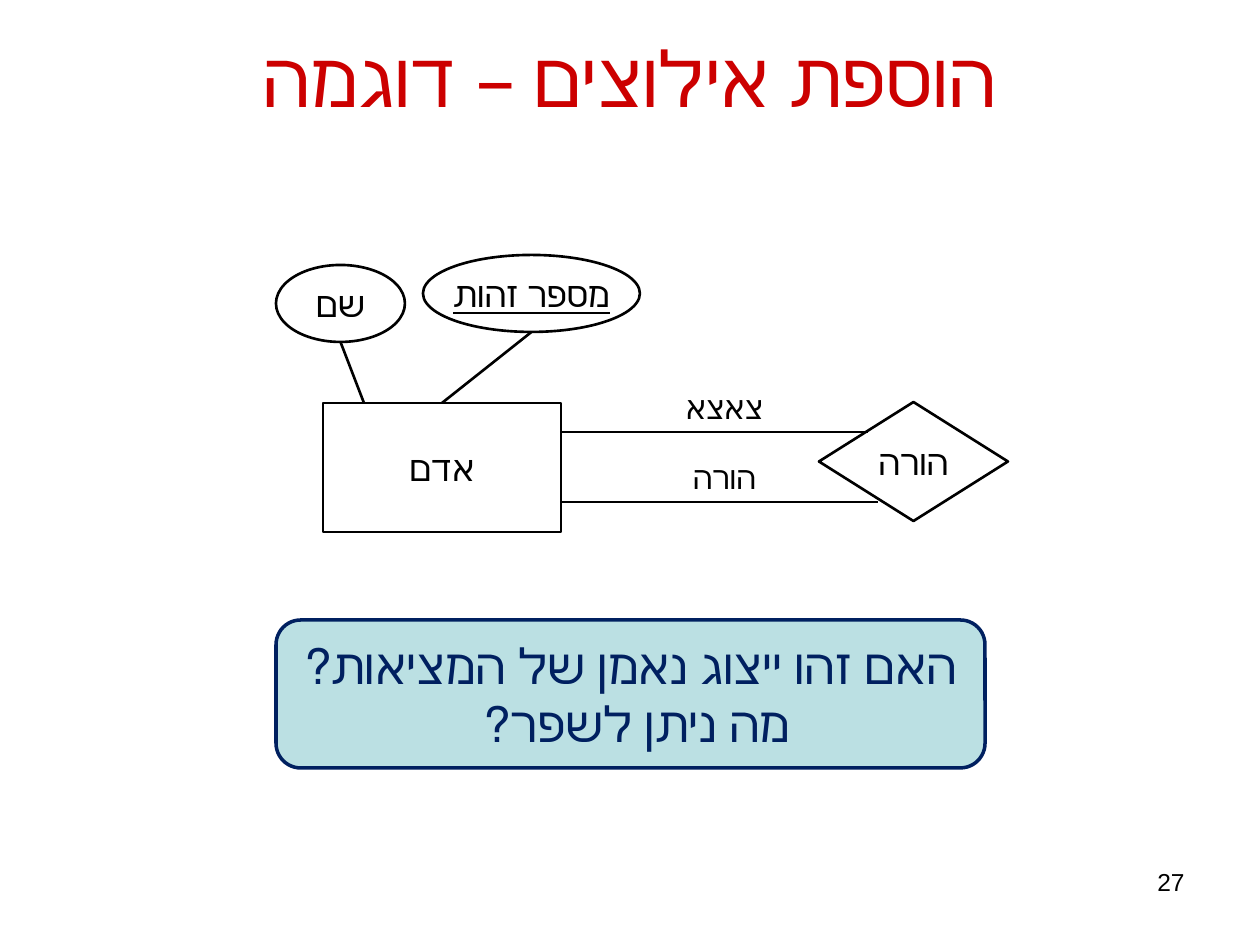
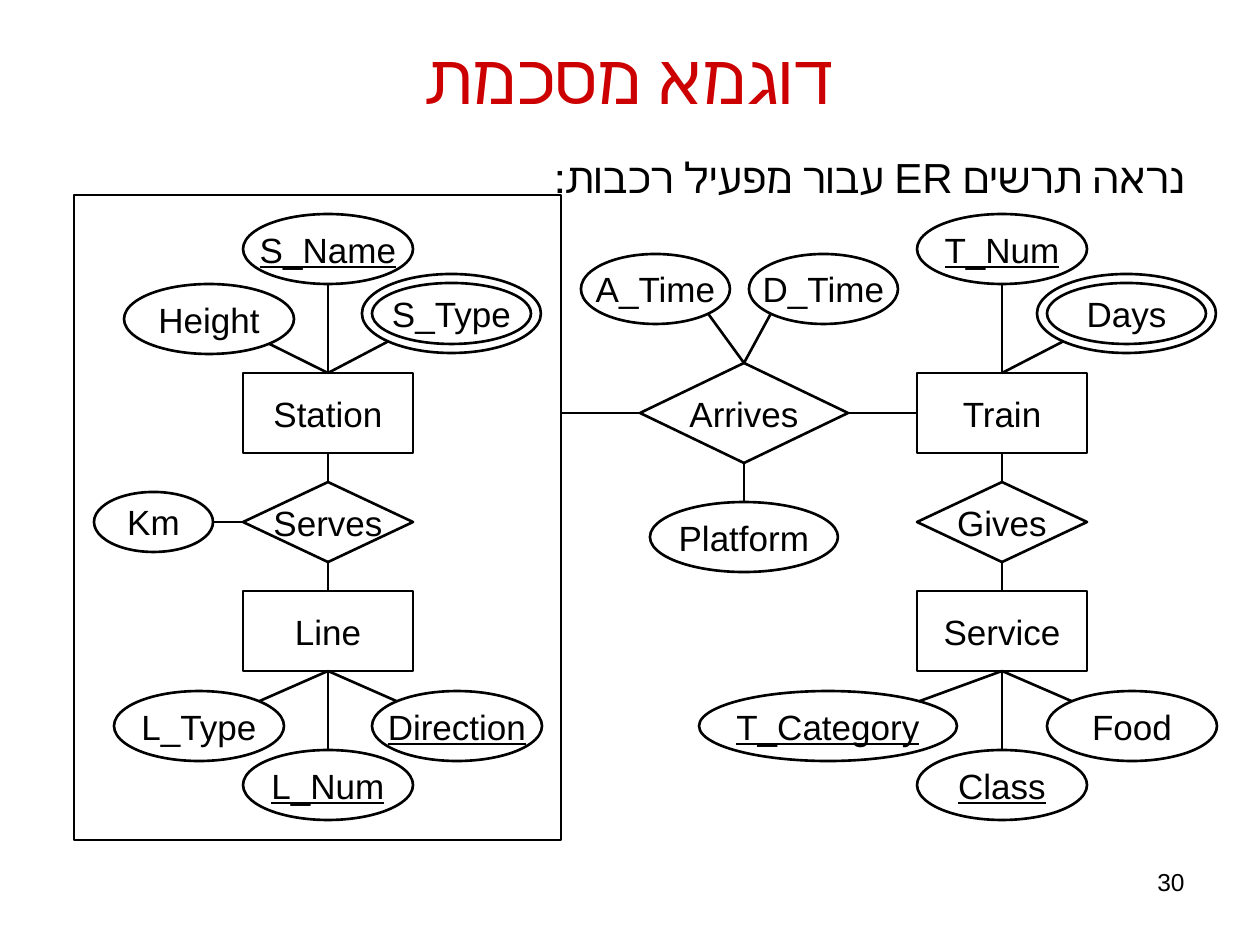
import pptx
import pptx.dml.color
import pptx.enum.shapes
import pptx.enum.text
import pptx.oxml.ns
import pptx.util
from lxml import etree

SCALE = 914400 / 126
FONT = "Arial"
COLORS = {"title": "CC0000", "ink": "000000", "navy": "002060", "callout": "BBE0E3"}
SHAPES = pptx.enum.shapes.MSO_SHAPE
ALIGN = pptx.enum.text.PP_ALIGN
ANCHOR = pptx.enum.text.MSO_ANCHOR
TOP, LEFT, BOTTOM, RIGHT = range(4)
DIAGONAL = 0.7071
UP, DOWN, EAST = (0, -1), (0, 1), (1, 0)
UP_LEFT, UP_RIGHT = (-DIAGONAL, -DIAGONAL), (DIAGONAL, -DIAGONAL)
DOWN_LEFT, DOWN_RIGHT = (-DIAGONAL, DIAGONAL), (DIAGONAL, DIAGONAL)
NODE_WIDTH, NODE_HEIGHT, OVAL_HEIGHT = 170, 80, 70


def emu(pixels):
    return pptx.util.Emu(round(pixels * SCALE))


def color(name):
    return pptx.dml.color.RGBColor.from_string(COLORS[name])


def write(shape, lines, size, ink="ink", align=ALIGN.CENTER, anchor=ANCHOR.MIDDLE,
          wrap=True, rtl=False, underline=False):
    frame = shape.text_frame
    frame.word_wrap = wrap
    frame.vertical_anchor = anchor
    frame.text = "\n".join(lines)
    for paragraph in frame.paragraphs:
        paragraph.alignment = align
        if rtl:
            paragraph._p.get_or_add_pPr().set("rtl", "1")
        font = paragraph.font
        font.name = FONT
        font.size = pptx.util.Pt(size)
        font.color.rgb = color(ink)
        if underline:
            font.underline = True


def add_text(slide, box, text, size, **style):
    shape = slide.shapes.add_textbox(*map(emu, box))
    write(shape, [text], size, **style)


def add_outline(slide, kind, box, fill=None, line="ink", width=1.5):
    shape = slide.shapes.add_shape(kind, *map(emu, box))
    shape.shadow.inherit = False
    if fill:
        shape.fill.solid()
        shape.fill.fore_color.rgb = color(fill)
    else:
        shape.fill.background()
    shape.line.color.rgb = color(line)
    shape.line.width = pptx.util.Pt(width)
    return shape


def add_node(slide, kind, box, label, underline=False):
    shape = add_outline(slide, kind, box)
    write(shape, [label], 20, wrap=False, underline=underline)
    return shape


def add_entity(slide, box, label):
    return add_node(slide, SHAPES.RECTANGLE, box, label)


def add_relation(slide, box, label):
    return add_node(slide, SHAPES.DIAMOND, box, label)


def add_attribute(slide, box, label, key=False):
    return add_node(slide, SHAPES.OVAL, box, label, key)


def add_multivalued(slide, box, label):
    left, top, width, height = box
    outer = add_outline(slide, SHAPES.OVAL, box)
    add_attribute(slide, (left + 10, top + 9, width - 20, height - 18), label)
    return outer


def point(x, y):
    return emu(x), emu(y)


def rim(oval, direction):
    across, down = direction
    return (round(oval.left + oval.width * (1 + across) / 2),
            round(oval.top + oval.height * (1 + down) / 2))


def link(slide, start, finish):
    points = [end if isinstance(end[0], int) else (0, 0) for end in (start, finish)]
    connector = slide.shapes.add_connector(
        pptx.enum.shapes.MSO_CONNECTOR.STRAIGHT, *points[0], *points[1])
    for end, join in ((start, connector.begin_connect), (finish, connector.end_connect)):
        if not isinstance(end[0], int):
            join(*end)
    connector.line.color.rgb = color("ink")
    connector.line.width = pptx.util.Pt(1.5)
    etree.SubElement(connector._element.spPr, pptx.oxml.ns.qn("a:effectLst"))


def add_base(presentation, title, title_size, number):
    slide = presentation.slides.add_slide(presentation.slide_layouts[6])
    add_text(slide, (63, 38, 1134, 77), title, title_size, ink="title", rtl=True)
    add_text(slide, (903, 861, 294, 66), number, 14, align=ALIGN.RIGHT, anchor=ANCHOR.TOP)
    return slide


def add_column(slide, left, labels):
    key, entity, relation, lower_entity, lower_key = labels
    key_oval = add_attribute(slide, (left, 214, NODE_WIDTH, OVAL_HEIGHT), key, True)
    upper = add_entity(slide, (left, 373, NODE_WIDTH, NODE_HEIGHT), entity)
    diamond = add_relation(slide, (left, 482, NODE_WIDTH, NODE_HEIGHT), relation)
    lower = add_entity(slide, (left, 591, NODE_WIDTH, NODE_HEIGHT), lower_entity)
    lower_oval = add_attribute(slide, (left, 750, NODE_WIDTH, OVAL_HEIGHT), lower_key, True)
    link(slide, rim(key_oval, DOWN), (upper, TOP))
    link(slide, (upper, BOTTOM), (diamond, TOP))
    link(slide, (diamond, BOTTOM), (lower, TOP))
    link(slide, (lower, BOTTOM), rim(lower_oval, UP))
    return upper, diamond, lower


def build_constraints(presentation):
    slide = add_base(presentation, "הוספת אילוצים – דוגמה", 44, "27")
    person = add_entity(slide, (323, 403, 238, 129), "אדם")
    name = add_attribute(slide, (276, 265, 129, 77), "שם")
    identity = add_attribute(slide, (423, 255, 217, 77), "מספר זהות", True)
    add_relation(slide, (819, 402, 189, 119), "הורה")
    link(slide, point(364, 403), rim(name, DOWN))
    link(slide, (person, TOP), rim(identity, DOWN))
    for role, text_top, line_top, line_end in (("צאצא", 382, 432, 868), ("הורה", 452, 502, 878)):
        link(slide, point(561, line_top), point(line_end, line_top))
        add_text(slide, (660, text_top, 129, 50), role, 18, anchor=ANCHOR.TOP)
    question = add_outline(slide, SHAPES.ROUNDED_RECTANGLE, (276, 620, 709, 148),
                           "callout", "navy", 2)
    write(question, ["האם זהו ייצוג נאמן של המציאות?", "מה ניתן לשפר? "], 28,
          ink="navy", wrap=False, rtl=True)


def build_railway(presentation):
    slide = add_base(presentation, "דוגמא מסכמת", 40, "30")
    add_text(slide, (272, 145, 925, 79), "נראה תרשים ER עבור מפעיל רכבות:", 24,
             align=ALIGN.RIGHT, anchor=ANCHOR.TOP, rtl=True)
    add_outline(slide, SHAPES.RECTANGLE, (74, 195, 487, 645))
    station, serves, line = add_column(
        slide, 243, ("S_Name", "Station", "Serves", "Line", "L_Num"))
    train, gives, service = add_column(
        slide, 917, ("T_Num", "Train", "Gives", "Service", "Class"))

    for owner, left, label in ((station, 362, "S_Type"), (train, 1037, "Days")):
        oval = add_multivalued(slide, (left, 274, 179, 79), label)
        link(slide, (owner, TOP), rim(oval, DOWN_LEFT))

    arrives = add_relation(slide, (640, 363, 208, 100), "Arrives")
    link(slide, point(561, 413), (arrives, LEFT))
    link(slide, (arrives, RIGHT), (train, LEFT))

    attributes = (
        ("Height", (124, 284, NODE_WIDTH, OVAL_HEIGHT), False, DOWN_RIGHT, station, TOP),
        ("Km", (94, 492, 119, 60), False, EAST, serves, LEFT),
        ("L_Type", (114, 691, NODE_WIDTH, OVAL_HEIGHT), False, UP_RIGHT, line, BOTTOM),
        ("Direction", (372, 691, NODE_WIDTH, OVAL_HEIGHT), True, UP_LEFT, line, BOTTOM),
        ("T_Category", (699, 691, 258, OVAL_HEIGHT), True, UP_RIGHT, service, BOTTOM),
        ("Food", (1047, 691, NODE_WIDTH, OVAL_HEIGHT), False, UP_LEFT, service, BOTTOM),
        ("A_Time", (581, 254, 149, OVAL_HEIGHT), False, DOWN_RIGHT, arrives, TOP),
        ("D_Time", (749, 254, 149, OVAL_HEIGHT), False, DOWN_LEFT, arrives, TOP),
        ("Platform", (650, 502, 188, OVAL_HEIGHT), False, UP, arrives, BOTTOM),
    )
    for label, box, key, direction, owner, side in attributes:
        oval = add_attribute(slide, box, label, key)
        link(slide, rim(oval, direction), (owner, side))


def main():
    presentation = pptx.Presentation()
    presentation.slide_width = emu(1260)
    presentation.slide_height = emu(945)
    build_constraints(presentation)
    build_railway(presentation)
    presentation.save("out.pptx")


if __name__ == "__main__":
    main()
